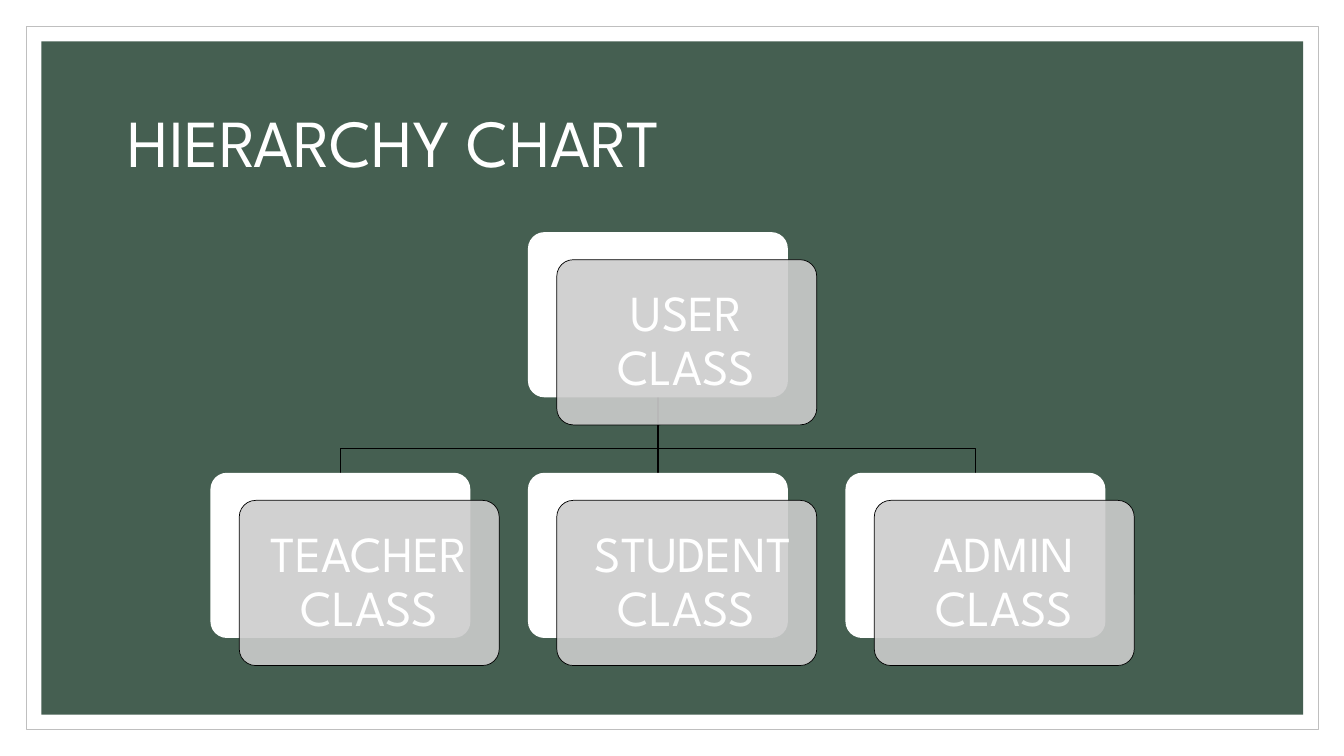
"""Build the hierarchy chart slide of user classes."""
from dataclasses import dataclass

from lxml import etree
from pptx import Presentation
from pptx.dml.color import RGBColor
from pptx.enum import shapes, text
from pptx.oxml.ns import qn
from pptx.util import Pt


@dataclass(frozen=True)
class Theme:
    font: str = "League Spartan"
    paper: str = "FFFFFF"
    frame: str = "BFBFBF"
    board: str = "455F51"
    card: str = "CCCCCC"
    ink: str = "000000"
    title_size: float = 48
    card_size: float = 36
    hairline: float = 0.5
    branch: float = 1


class SlideBuilder:
    def __init__(self, slide, theme):
        self.slide, self.theme = slide, theme

    def apply(self, target, values):
        for name, value in values.items():
            setattr(target, name, value)

    def outline(self, shape, color, width):
        shape.line.color.rgb = RGBColor.from_string(color)
        shape.line.width = Pt(width)

    def panel(self, kind, box, fill, line=None, alpha=None):
        panel = self.slide.shapes.add_shape(kind, *map(Pt, box))
        panel.shadow.inherit = False
        panel.fill.solid()
        panel.fill.fore_color.rgb = RGBColor.from_string(fill)
        if alpha:
            color = panel._element.spPr.find(qn("a:solidFill"))[0]
            etree.SubElement(color, qn("a:alpha")).set("val", str(alpha * 1000))
        if line:
            self.outline(panel, line, self.theme.hairline)
        else:
            panel.line.fill.background()
        return panel

    def label(self, shape, words, size, align, inset_x, inset_y):
        frame = shape.text_frame
        self.apply(frame, {
            "text": words, "word_wrap": True,
            "vertical_anchor": text.MSO_ANCHOR.MIDDLE,
            "margin_left": Pt(inset_x), "margin_right": Pt(inset_x),
            "margin_top": Pt(inset_y), "margin_bottom": Pt(inset_y),
        })
        paragraph = frame.paragraphs[0]
        self.apply(paragraph, {"alignment": align, "line_spacing": 0.9})
        font = paragraph.runs[0].font
        self.apply(font, {"name": self.theme.font, "size": Pt(size)})
        font.color.rgb = RGBColor.from_string(self.theme.paper)

    def title(self, words, box):
        heading = self.slide.shapes.add_textbox(*map(Pt, box))
        self.label(heading, words, self.theme.title_size, text.PP_ALIGN.LEFT, 7.2, 3.6)

    def card(self, words, left, top):
        rounded = shapes.MSO_SHAPE.ROUNDED_RECTANGLE
        back = self.panel(rounded, (left, top, CARD_W, CARD_H), self.theme.paper)
        front = self.panel(rounded, (left + SHIFT_X, top + SHIFT_Y, CARD_W, CARD_H),
                           self.theme.card, self.theme.ink, 90)
        for layer in (back, front):
            layer.adjustments[0] = 0.1
        self.label(front, words, self.theme.card_size, text.PP_ALIGN.CENTER, 10.8, 10.8)

    def branch(self, start, end, bend):
        (x1, y1), (x2, y2) = start, end
        if x1 == x2:
            branch = self.slide.shapes.add_connector(
                shapes.MSO_CONNECTOR.STRAIGHT, *map(Pt, (x1, y1, x2, y2)))
            etree.SubElement(branch._element.spPr, qn("a:effectLst"))
        else:
            outline = self.slide.shapes.build_freeform(Pt(x1), Pt(y1))
            corners = [(x1, bend), (x2, bend), end]
            outline.add_line_segments([(Pt(x), Pt(y)) for x, y in corners], close=False)
            branch = outline.convert_to_shape()
            branch.shadow.inherit = False
            branch.fill.background()
        self.outline(branch, self.theme.ink, self.theme.branch)


CARD_W, CARD_H = 185.7, 118
SHIFT_X, SHIFT_Y = 20.6, 19.7
FIRST_LEFT, PITCH = 150.3, 226.8
PARENT_TOP, CHILD_TOP, BEND = 165.8, 337.7, 320.4
CHILDREN = ["TEACHER CLASS", " STUDENT CLASS", "ADMIN CLASS"]

deck = Presentation()
deck.slide_width, deck.slide_height = Pt(960), Pt(540)
theme = Theme()
builder = SlideBuilder(deck.slides.add_slide(deck.slide_layouts[6]), theme)

rectangle = shapes.MSO_SHAPE.RECTANGLE
builder.panel(rectangle, (18.7, 18.7, 923, 502.6), theme.paper, theme.frame)
builder.panel(rectangle, (29.5, 29.5, 901.4, 481), theme.board)
builder.title("HIERARCHY CHART", (84.2, 50.4, 792, 108))

lefts = [FIRST_LEFT + PITCH * column for column in range(len(CHILDREN))]
parent_left = lefts[1]
root = (parent_left + CARD_W / 2, PARENT_TOP + CARD_H)
for left in lefts:
    builder.branch(root, (left + CARD_W / 2, CHILD_TOP), BEND)
builder.card("USER CLASS", parent_left, PARENT_TOP)
for child, left in zip(CHILDREN, lefts):
    builder.card(child, left, CHILD_TOP)

deck.save("out.pptx")
